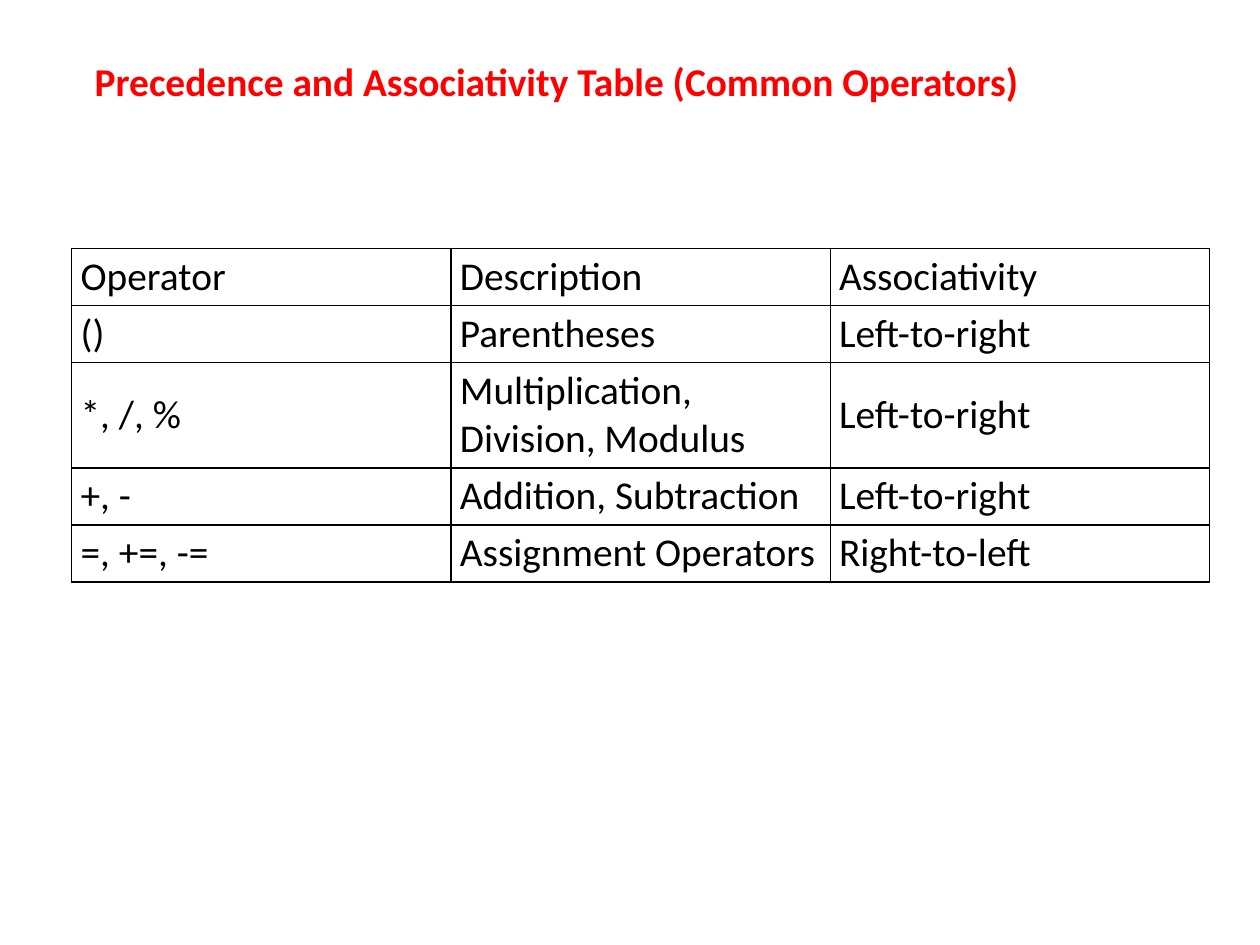
"""Build a slide with a table of operator precedence and associativity."""
import pptx
import pptx.dml.color
import pptx.enum.text
import pptx.oxml
import pptx.oxml.ns
import pptx.util

Inches = pptx.util.Inches
Pt = pptx.util.Pt
RGB = pptx.dml.color.RGBColor.from_string
ANCHOR = pptx.enum.text.MSO_ANCHOR

THEME = {
    "title": {"name": "Calibri", "size": Pt(32), "bold": True, "color": "FF0000"},
    "cell": {"name": "Calibri", "size": Pt(32), "bold": False, "color": "000000"},
    "border": {"color": "000000", "width": Pt(1)},
}

OPERATORS = [
    ("Operator", "Description", "Associativity"),
    ("()", "Parentheses", "Left-to-right"),
    ("*, /, %", "Multiplication, Division, Modulus", "Left-to-right"),
    ("+, -", "Addition, Subtraction", "Left-to-right"),
    ("=, +=, -=", "Assignment Operators", "Right-to-left"),
]
ROW_HEIGHTS = [0.64, 0.64, 1.18, 0.64, 0.64]
COLUMN_WIDTH = 4.28


def write(frame, text, style):
    """Put text in a frame's first paragraph and format it."""
    run = frame.paragraphs[0].add_run()
    run.text = text
    for attribute, value in style.items():
        if attribute == "color":
            run.font.color.rgb = RGB(value)
        else:
            setattr(run.font, attribute, value)


def add_borders(cell, border):
    """Draw a solid line on all four sides of a cell."""
    properties = cell._tc.get_or_add_tcPr()
    for position, side in enumerate(("lnL", "lnR", "lnT", "lnB")):
        properties.insert(position, pptx.oxml.parse_xml(
            f'<a:{side} {pptx.oxml.ns.nsdecls("a")} w="{border["width"]}">'
            f'<a:solidFill><a:srgbClr val="{border["color"]}"/></a:solidFill>'
            f'</a:{side}>'))


presentation = pptx.Presentation()
presentation.slide_width = Inches(14.22)
presentation.slide_height = Inches(10.67)
slide = presentation.slides.add_slide(presentation.slide_layouts[6])

precedence = slide.shapes.add_table(
    len(OPERATORS), len(OPERATORS[0]), Inches(0.81), Inches(2.81),
    Inches(COLUMN_WIDTH * len(OPERATORS[0])), Inches(sum(ROW_HEIGHTS))).table
precedence.first_row = False
precedence.horz_banding = False
for column in precedence.columns:
    column.width = Inches(COLUMN_WIDTH)
for row, height, entries in zip(precedence.rows, ROW_HEIGHTS, OPERATORS):
    row.height = Inches(height)
    for cell, entry in zip(row.cells, entries):
        cell.fill.background()
        cell.vertical_anchor = ANCHOR.MIDDLE
        write(cell.text_frame, entry, THEME["cell"])
        add_borders(cell, THEME["border"])

title = slide.shapes.add_textbox(
    Inches(0.97), Inches(0.56), Inches(11.81), Inches(1.75)).text_frame
title_format = {
    "word_wrap": True,
    "vertical_anchor": ANCHOR.TOP,
    "margin_top": Inches(0.08),
}
for attribute, value in title_format.items():
    setattr(title, attribute, value)
write(title, "Precedence and Associativity Table (Common Operators)", THEME["title"])

presentation.save("out.pptx")
